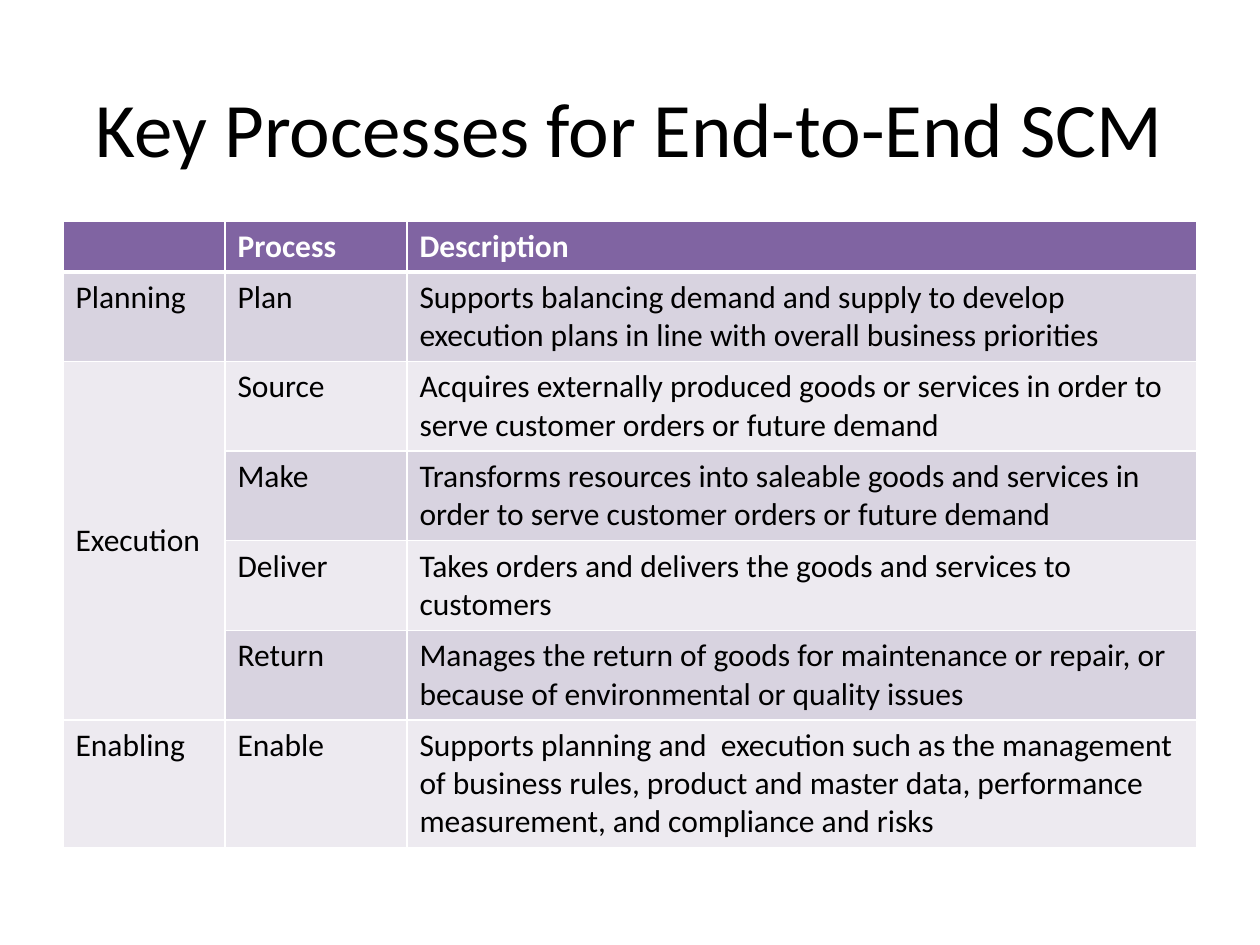
from dataclasses import dataclass

from lxml import etree
from pptx import Presentation
from pptx import util as u
from pptx.dml import color
from pptx.enum import text
from pptx.oxml import ns

PIXEL = 914400 // 126
WHITE, BLACK = "FFFFFF", "000000"
PURPLE, DARK_BAND, LIGHT_BAND = "8064A2", "D8D3E0", "EDEAF0"
COLUMN_WIDTHS = (162, 182, 790)
EXECUTION_ROWS = (2, 5)


@dataclass(frozen=True)
class ProcessRow:
    group: str
    process: str
    description: str
    height: int = 89


ROWS = (
    ProcessRow("", "Process", "Description", 51),
    ProcessRow("Planning", "Plan", "Supports balancing demand and supply to develop "
               "execution plans in line with overall business priorities"),
    ProcessRow("Execution", "Source", "Acquires externally produced goods or services "
               "in order to serve customer orders or future demand"),
    ProcessRow("", "Make", "Transforms resources into saleable goods and services "
               "in order to serve customer orders or future demand"),
    ProcessRow("", "Deliver", "Takes orders and delivers the goods and services to customers"),
    ProcessRow("", "Return", "Manages the return of goods for maintenance or repair, "
               "or because of environmental or quality issues"),
    ProcessRow("Enabling", "Enable", "Supports planning and  execution such as the management "
               "of business rules, product and master data, performance measurement, "
               "and compliance and risks", 128),
)


def px(pixels: int) -> u.Emu:
    return u.Emu(pixels * PIXEL)


def rgb(value: str) -> color.RGBColor:
    return color.RGBColor.from_string(value)


def format_text(text_frame, size: int, value: str, bold: bool = False) -> None:
    for paragraph in text_frame.paragraphs:
        for run in paragraph.runs:
            run.font.name = "Calibri"
            run.font.size = u.Pt(size)
            run.font.bold = bold
            run.font.color.rgb = rgb(value)


def add_borders(cell, top: int, bottom: int) -> None:
    properties = cell._tc.get_or_add_tcPr()
    for side, width in (("L", 1), ("R", 1), ("T", top), ("B", bottom)):
        line = etree.SubElement(properties, ns.qn(f"a:ln{side}"), w=str(u.Pt(width)))
        fill = etree.SubElement(line, ns.qn("a:solidFill"))
        etree.SubElement(fill, ns.qn("a:srgbClr"), val=WHITE)


def band_color(row: int, column: int) -> str:
    if row == 0:
        return PURPLE
    first, last = EXECUTION_ROWS
    if column == 0 and first <= row <= last:
        return LIGHT_BAND
    return DARK_BAND if row % 2 else LIGHT_BAND


def add_title(slide, wording: str) -> None:
    title = slide.shapes.title
    title.left, title.top, title.width, title.height = px(63), px(48), px(1134), px(157)
    title.text_frame.text = wording
    title.text_frame.vertical_anchor = text.MSO_ANCHOR.MIDDLE
    title.text_frame.paragraphs[0].alignment = text.PP_ALIGN.CENTER
    format_text(title.text_frame, 44, BLACK)


def add_process_table(slide) -> None:
    height = sum(row.height for row in ROWS)
    frame = slide.shapes.add_table(len(ROWS), len(COLUMN_WIDTHS), px(63), px(221),
                                   px(sum(COLUMN_WIDTHS)), px(height))
    table = frame.table
    for column, width in zip(table.columns, COLUMN_WIDTHS):
        column.width = px(width)
    for r, row in enumerate(ROWS):
        table.rows[r].height = px(row.height)
        for c, wording in enumerate((row.group, row.process, row.description)):
            cell = table.cell(r, c)
            add_borders(cell, top=3 if r == 1 else 1, bottom=3 if r == 0 else 1)
            cell.fill.solid()
            cell.fill.fore_color.rgb = rgb(band_color(r, c))
            if wording:
                cell.text_frame.text = wording
                format_text(cell.text_frame, 18, BLACK if r else WHITE, bold=r == 0)
    first, last = EXECUTION_ROWS
    execution = table.cell(first, 0)
    execution.merge(table.cell(last, 0))
    execution.vertical_anchor = text.MSO_ANCHOR.MIDDLE


def main() -> None:
    presentation = Presentation()
    presentation.slide_width, presentation.slide_height = px(1260), px(945)
    slide = presentation.slides.add_slide(presentation.slide_layouts[5])
    add_title(slide, "Key Processes for End-to-End SCM")
    add_process_table(slide)
    presentation.save("out.pptx")


main()
